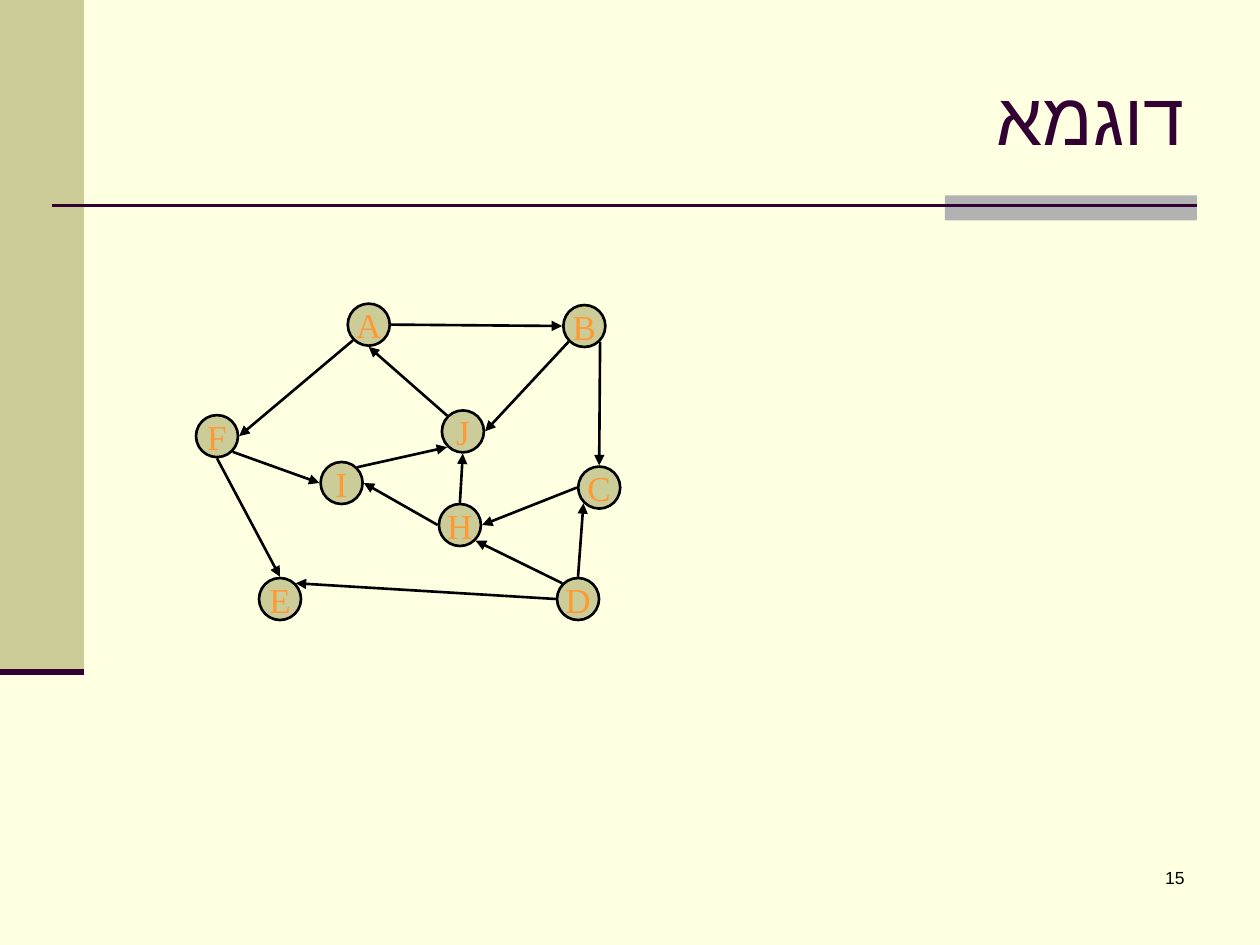
from lxml.etree import SubElement
from pptx import Presentation
from pptx.dml.color import RGBColor as RGB
from pptx.enum.shapes import MSO_CONNECTOR as CONN, MSO_SHAPE as SHAPE
from pptx.enum.text import MSO_ANCHOR as ANCHOR, PP_ALIGN as ALIGN
from pptx.oxml.ns import qn
from pptx.util import Pt

COLORS = {
    "paper": "FFFFE1", "sand": "CCCC99", "gray": "B2B2B2",
    "plum": "330033", "black": "000000", "orange": "FF9933",
}
SERIF, SANS = "Times New Roman", "Arial"


def write(tf, text, size=20, font=SERIF, color="black", align=ALIGN.CENTER,
          anchor=ANCHOR.MIDDLE, wrap=True, rtl=False):
    tf.word_wrap = wrap
    tf.vertical_anchor = anchor
    p = tf.paragraphs[0]
    p.alignment = align
    r = p.add_run()
    r.text = text
    r.font.size = Pt(size)
    r.font.name = font
    r.font.color.rgb = RGB.from_string(COLORS[color])
    if rtl:
        p._p.get_or_add_pPr().set("rtl", "1")
        SubElement(r._r.get_or_add_rPr(), qn("a:cs")).set("typeface", SANS)


class GraphSlide:
    diameter = 24
    reach = 12.7
    weight = 1.5
    sides = {"N": (0, -1), "S": (0, 1), "W": (-1, 0), "E": (1, 0),
             "NW": (-0.71, -0.71), "NE": (0.71, -0.71),
             "SW": (-0.71, 0.71), "SE": (0.71, 0.71)}

    def __init__(self, prs):
        self.s = prs.slides.add_slide(prs.slide_layouts[5])
        self.centers = {}
        fill = self.s.background.fill
        fill.solid()
        fill.fore_color.rgb = RGB.from_string(COLORS["paper"])

    def shape(self, kind, x, y, w, h, fill, line=None):
        sp = self.s.shapes.add_shape(kind, Pt(x), Pt(y), Pt(w), Pt(h))
        sp.shadow.inherit = False
        sp.fill.solid()
        sp.fill.fore_color.rgb = RGB.from_string(COLORS[fill])
        if line:
            sp.line.color.rgb = RGB.from_string(COLORS[line])
            sp.line.width = Pt(self.weight)
        else:
            sp.line.fill.background()
        return sp

    def line(self, x1, y1, x2, y2, color="black", weight=weight, arrow=False):
        cxn = self.s.shapes.add_connector(CONN.STRAIGHT, Pt(x1), Pt(y1), Pt(x2), Pt(y2))
        cxn.line.color.rgb = RGB.from_string(COLORS[color])
        cxn.line.width = Pt(weight)
        if arrow:
            SubElement(cxn.line._get_or_add_ln(), qn("a:tailEnd")).set("type", "triangle")
        SubElement(cxn._element.spPr, qn("a:effectLst"))

    def title(self, text, x, y, w, h):
        sp = self.s.shapes.title
        sp.left, sp.top, sp.width, sp.height = Pt(x), Pt(y), Pt(w), Pt(h)
        write(sp.text_frame, text, size=42, color="plum", align=ALIGN.RIGHT, rtl=True)

    def text(self, text, x, y, w, h, **fmt):
        sp = self.s.shapes.add_textbox(Pt(x), Pt(y), Pt(w), Pt(h))
        write(sp.text_frame, text, **fmt)

    def node(self, name, cx, cy):
        d = self.diameter
        self.centers[name] = cx, cy
        sp = self.shape(SHAPE.OVAL, cx - d / 2, cy - d / 2, d, d, "sand", "black")
        write(sp.text_frame, name, color="orange", wrap=False)

    def point(self, name, side):
        return [c + self.reach * k for c, k in zip(self.centers[name], self.sides[side])]

    def edge(self, start, start_side, end, end_side):
        self.line(*self.point(start, start_side), *self.point(end, end_side), arrow=True)


prs = Presentation()
prs.slide_width, prs.slide_height = Pt(720), Pt(540)
slide = GraphSlide(prs)

slide.shape(SHAPE.RECTANGLE, 0, 0, 48, 384, "sand")
slide.shape(SHAPE.RECTANGLE, 540, 111.6, 144, 14.4, "gray")
slide.line(30, 117.5, 684, 117.5, "plum")
slide.line(0, 384, 48, 384, "plum", 3.5)
slide.text("15", 534, 492, 150, 36, size=10, font=SANS, align=ALIGN.RIGHT, anchor=ANCHOR.TOP)
slide.title("דוגמא", 72, 21.6, 612, 90)

NODES = {
    "A": (210.7, 185.5), "B": (333.9, 186.3), "C": (342.4, 278.6),
    "D": (330.3, 342.3), "E": (160, 342.3), "F": (124, 249.2),
    "H": (262.8, 300), "I": (195.2, 276), "J": (264.5, 246.5),
}
EDGES = [
    ("A", "SW", "F", "E"), ("A", "E", "B", "W"), ("B", "SW", "J", "E"),
    ("F", "S", "E", "N"), ("F", "SE", "I", "W"), ("I", "NE", "J", "SW"),
    ("H", "W", "I", "E"), ("C", "W", "H", "E"), ("D", "N", "C", "SW"),
    ("H", "N", "J", "S"), ("J", "NW", "A", "S"), ("D", "W", "E", "NE"),
    ("B", "SE", "C", "N"), ("D", "NW", "H", "SE"),
]
for name, center in NODES.items():
    slide.node(name, *center)
for edge in EDGES:
    slide.edge(*edge)

prs.save("out.pptx")
